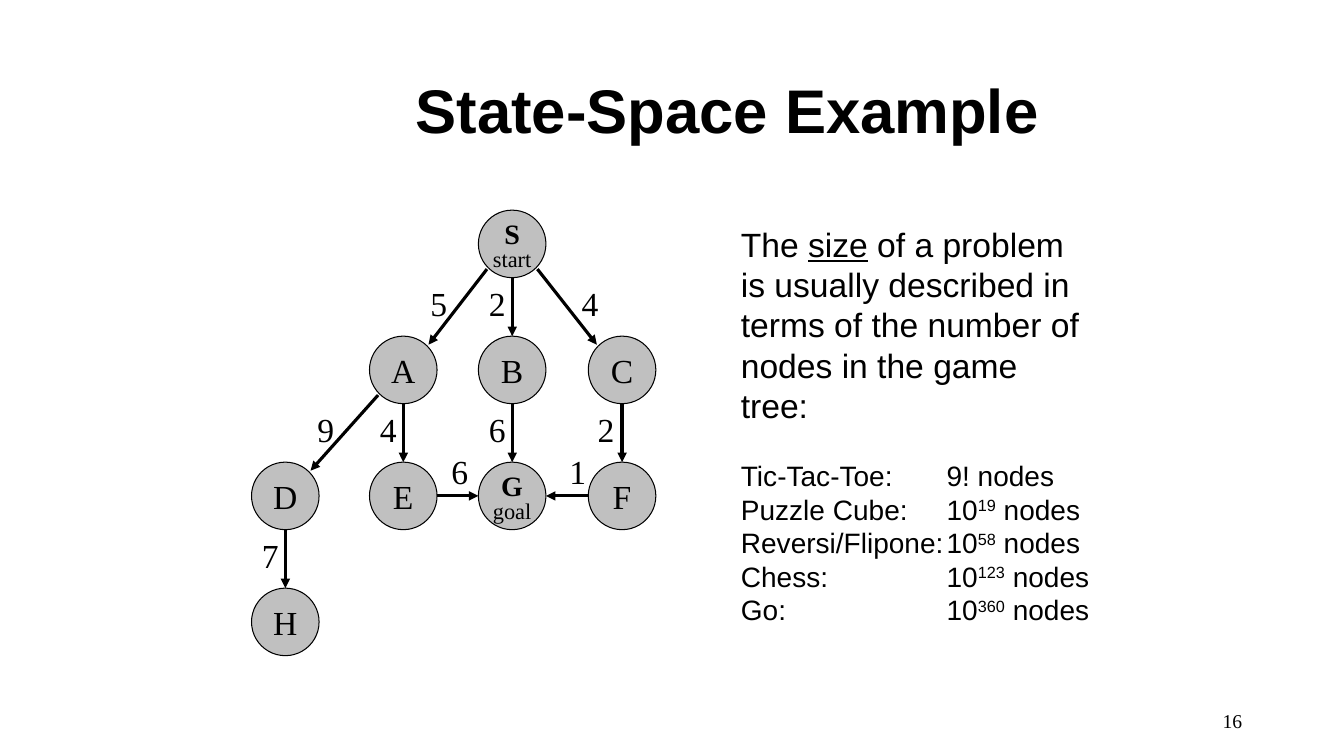
"""Build the State-Space Example slide: a weighted search graph beside notes on problem size."""
import math

import lxml.etree
import pptx
import pptx.dml.color
import pptx.enum.shapes
import pptx.enum.text
import pptx.oxml.ns
import pptx.util

Inches = pptx.util.Inches
Pt = pptx.util.Pt
ALIGN = pptx.enum.text.PP_ALIGN
ANCHOR = pptx.enum.text.MSO_ANCHOR

TITLE = "State-Space Example"
PAGE_NUMBER = "16"
SIZE_NOTE = [("The ", False), ("size", True),
             (" of a problem is usually described in terms of the number of nodes in the game tree:", False)]
GAMES = [
    ("Tic-Tac-Toe:", "9!", ""),
    ("Puzzle Cube:", "10", "19"),
    ("Reversi/Flipone:", "10", "58"),
    ("Chess:", "10", "123"),
    ("Go:", "10", "360"),
]
STATES = {
    "S": (2, 0, "start"),
    "A": (1, 1, ""), "B": (2, 1, ""), "C": (3, 1, ""),
    "D": (0, 2, ""), "E": (1, 2, ""), "G": (2, 2, "goal"), "F": (3, 2, ""),
    "H": (0, 3, ""),
}
MOVES = [
    ("S", "A", "5", 4.17), ("S", "B", "2", 4.75), ("S", "C", "4", 5.67),
    ("A", "D", "9", 3.05), ("A", "E", "4", 3.67), ("B", "G", "6", 4.75),
    ("C", "F", "2", 5.83), ("D", "H", "7", 2.5),
    ("E", "G", "6", 4.38), ("F", "G", "1", 5.55),
]

THEME = {
    "sans": "Arial", "serif": "Times New Roman",
    "ink": pptx.dml.color.RGBColor(0x00, 0x00, 0x00),
    "node": pptx.dml.color.RGBColor(0xC0, 0xC0, 0xC0),
    "title": 44, "body": 24, "games": 20, "state": 24,
    "named_state": 20, "caption": 16, "page": 14,
    "outline": 0.75, "arrow": 2.25,
}
COLUMNS = [2.83, 4.0, 5.08, 6.17]
TOP_ROW, ROW_STEP = 2.42, 1.25
DIAMETER = 0.67
RADIUS = DIAMETER / 2
DIAGONAL = 0.25
GAME_TAB = 2.04


def add_run(paragraph, text, font, size, bold=False):
    run = paragraph.add_run()
    run.text = text
    run.font.name = THEME[font]
    run.font.size = Pt(THEME[size])
    run.font.bold = bold
    run.font.color.rgb = THEME["ink"]
    return run


def add_box(slide, left, top, width, height, anchor=ANCHOR.TOP, wrap=True):
    frame = slide.shapes.add_textbox(Inches(left), Inches(top), Inches(width), Inches(height)).text_frame
    frame.word_wrap = wrap
    frame.vertical_anchor = anchor
    return frame


def centre(state):
    column, row, _ = STATES[state]
    return COLUMNS[column], TOP_ROW + row * ROW_STEP


def add_state(slide, state):
    x, y = centre(state)
    caption = STATES[state][2]
    circle = slide.shapes.add_shape(
        pptx.enum.shapes.MSO_SHAPE.OVAL,
        Inches(x - RADIUS), Inches(y - RADIUS), Inches(DIAMETER), Inches(DIAMETER))
    circle.shadow.inherit = False
    circle.fill.solid()
    circle.fill.fore_color.rgb = THEME["node"]
    circle.line.color.rgb = THEME["ink"]
    circle.line.width = Pt(THEME["outline"])
    frame = circle.text_frame
    frame.word_wrap = False
    frame.vertical_anchor = ANCHOR.MIDDLE
    name = frame.paragraphs[0]
    name.alignment = ALIGN.CENTER
    add_run(name, state, "serif", "named_state" if caption else "state", bool(caption))
    if caption:
        role = frame.add_paragraph()
        role.alignment = ALIGN.CENTER
        role.line_spacing = 0.8
        add_run(role, caption, "serif", "caption")


def add_move(slide, source, target, cost, cost_left):
    (x1, y1), (x2, y2) = centre(source), centre(target)
    dx, dy = x2 - x1, y2 - y1
    reach = DIAGONAL if dx and dy else RADIUS
    step_x = math.copysign(reach, dx) if dx else 0
    step_y = math.copysign(reach, dy) if dy else 0
    arrow = slide.shapes.add_connector(
        pptx.enum.shapes.MSO_CONNECTOR.STRAIGHT,
        Inches(x1 + step_x), Inches(y1 + step_y), Inches(x2 - step_x), Inches(y2 - step_y))
    arrow.line.color.rgb = THEME["ink"]
    arrow.line.width = Pt(THEME["arrow"])
    qn = pptx.oxml.ns.qn
    lxml.etree.SubElement(arrow.line._get_or_add_ln(), qn("a:tailEnd"), type="triangle")
    lxml.etree.SubElement(arrow._element.spPr, qn("a:effectLst"))
    cost_top = y1 + RADIUS if dy else y1 - 0.5
    label = add_box(slide, cost_left, cost_top, 0.37, 0.5, wrap=False)
    add_run(label.paragraphs[0], cost, "serif", "state")


def add_games(slide):
    frame = add_box(slide, 7.25, 4.5, 3.92, 1.77)
    for index, (game, base, power) in enumerate(GAMES):
        line = frame.add_paragraph() if index else frame.paragraphs[0]
        qn = pptx.oxml.ns.qn
        tabs = lxml.etree.SubElement(line._p.get_or_add_pPr(), qn("a:tabLst"))
        lxml.etree.SubElement(tabs, qn("a:tab"), pos=str(Inches(GAME_TAB)), algn="l")
        add_run(line, f"{game}\t{base}", "sans", "games")
        if power:
            exponent = add_run(line, power, "sans", "games")
            exponent.font._element.set("baseline", "30000")
        add_run(line, " nodes", "sans", "games")


def main():
    deck = pptx.Presentation()
    deck.slide_width, deck.slide_height = Inches(13.33), Inches(7.5)
    slide = deck.slides.add_slide(deck.slide_layouts[6])

    title = add_box(slide, 2.01, 0.4, 10.41, 1.45, ANCHOR.MIDDLE).paragraphs[0]
    title.alignment = ALIGN.CENTER
    title.line_spacing = 0.9
    add_run(title, TITLE, "sans", "title", True)

    page = add_box(slide, 9.42, 6.95, 3, 0.4, ANCHOR.MIDDLE).paragraphs[0]
    page.alignment = ALIGN.RIGHT
    add_run(page, PAGE_NUMBER, "serif", "page")

    note = add_box(slide, 7.25, 2.17, 3.67, 2.12).paragraphs[0]
    for text, underlined in SIZE_NOTE:
        add_run(note, text, "sans", "body").font.underline = underlined
    add_games(slide)

    for state in STATES:
        add_state(slide, state)
    for move in MOVES:
        add_move(slide, *move)
    deck.save("out.pptx")


if __name__ == "__main__":
    main()
